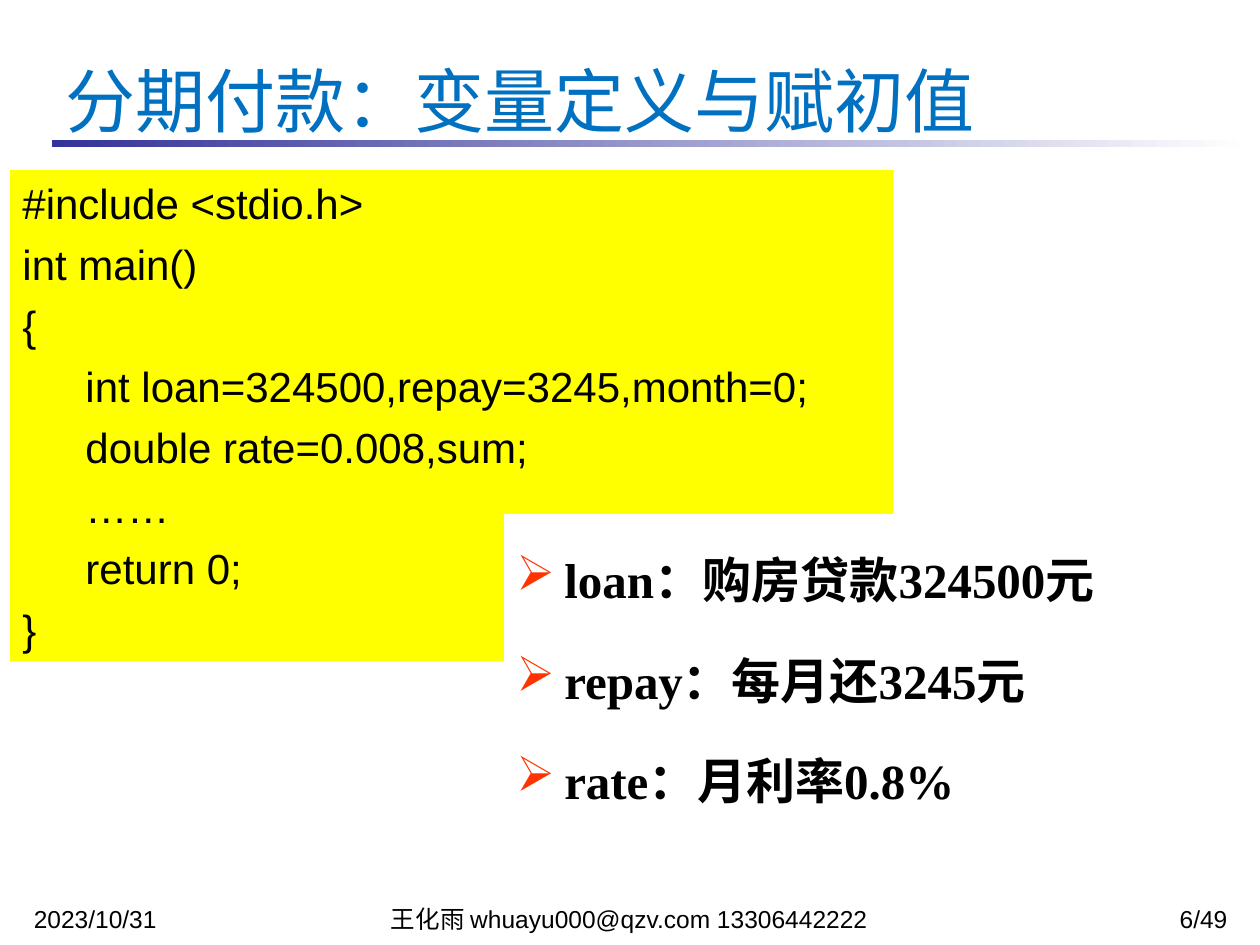
"""Builds the slide on variable definition and initial values for instalment payment."""
from dataclasses import dataclass

from lxml import etree
from pptx import Presentation
from pptx.dml.color import RGBColor
from pptx.enum.shapes import MSO_SHAPE
from pptx.enum.text import MSO_ANCHOR, PP_ALIGN
from pptx.oxml.ns import qn
from pptx.util import Inches, Pt

RECTANGLE = MSO_SHAPE.RECTANGLE
TOP, MIDDLE = MSO_ANCHOR.TOP, MSO_ANCHOR.MIDDLE
LEFT, CENTER, RIGHT = PP_ALIGN.LEFT, PP_ALIGN.CENTER, PP_ALIGN.RIGHT

BLACK = RGBColor(0x00, 0x00, 0x00)
WHITE = RGBColor(0xFF, 0xFF, 0xFF)
YELLOW = RGBColor(0xFF, 0xFF, 0x00)
TITLE_BLUE = RGBColor(0x00, 0x70, 0xC0)
RULE_BLUE = RGBColor(0x33, 0x33, 0x99)
BULLET_RED = RGBColor(0xFF, 0x33, 0x00)

SANS, SERIF = "Arial", "Times New Roman"
SPACE_RATIO = 0.25
BULLET_INDENT = Inches(0.38)


@dataclass(frozen=True)
class Panel:
    left: float
    top: float
    width: float
    height: float
    lines: tuple[str, ...]
    size: int
    font: str = SANS
    color: RGBColor = BLACK
    fill: RGBColor | None = None
    bold: bool = False
    align: PP_ALIGN = LEFT
    anchor: MSO_ANCHOR = TOP
    line_spacing: float = 1.0
    spaced: bool = True
    bullet: str = ""


FOOTER_TOP, FOOTER_HEIGHT = 7.17, 0.18
FOOTERS = (
    (0.17, 2.33, "2023/10/31", LEFT),
    (2.58, 4.83, "王化雨 whuayu000@qzv.com 13306442222", CENTER),
    (7.92, 1.92, "6/49", RIGHT),
)
TITLE = Panel(0.42, 0.25, 8.08, 0.75, ("分期付款：变量定义与赋初值",), 40, SERIF,
              TITLE_BLUE, WHITE, anchor=MIDDLE, line_spacing=1.5, spaced=False)
CODE = Panel(0.08, 1.35, 7.01, 3.9, (
    "#include <stdio.h>",
    "int main()",
    "{",
    "\tint loan=324500,repay=3245,month=0;",
    "\tdouble rate=0.008,sum;",
    "\t……",
    "\treturn 0;",
    "}",
), 24, fill=YELLOW, anchor=MIDDLE)
VARIABLES = Panel(4, 4.08, 5.58, 2.6, (
    "loan：购房贷款324500元",
    "repay：每月还3245元",
    "rate：月利率0.8%",
), 28, SERIF, fill=WHITE, bold=True, line_spacing=1.5, bullet="➢")


def add_rectangle(slide, left: float, top: float, width: float, height: float):
    rectangle = slide.shapes.add_shape(
        RECTANGLE, Inches(left), Inches(top), Inches(width), Inches(height))
    rectangle.shadow.inherit = False
    rectangle.line.fill.background()
    return rectangle


def add_bullet(paragraph, symbol: str) -> None:
    properties = paragraph._p.get_or_add_pPr()
    properties.set("marL", str(BULLET_INDENT))
    properties.set("indent", str(-BULLET_INDENT))
    bullet_color = etree.SubElement(properties, qn("a:buClr"))
    etree.SubElement(bullet_color, qn("a:srgbClr"), val=str(BULLET_RED))
    etree.SubElement(properties, qn("a:buChar"), char=symbol)


def add_panel(slide, panel: Panel) -> None:
    box = (panel.left, panel.top, panel.width, panel.height)
    if panel.fill is None:
        holder = slide.shapes.add_textbox(*map(Inches, box))
    else:
        holder = add_rectangle(slide, *box)
        holder.fill.solid()
        holder.fill.fore_color.rgb = panel.fill
    frame = holder.text_frame
    frame.word_wrap = True
    frame.vertical_anchor = panel.anchor
    for index, line in enumerate(panel.lines):
        paragraph = frame.add_paragraph() if index else frame.paragraphs[0]
        paragraph.alignment = panel.align
        paragraph.line_spacing = panel.line_spacing
        if panel.spaced:
            paragraph.space_before = Pt(panel.size * SPACE_RATIO)
        if panel.bullet:
            add_bullet(paragraph, panel.bullet)
        run = paragraph.add_run()
        run.text = line
        run.font.size = Pt(panel.size)
        run.font.name = panel.font
        run.font.bold = panel.bold
        run.font.color.rgb = panel.color


def add_title_rule(slide) -> None:
    rule = add_rectangle(slide, 0.41, 1.11, 9.51, 0.06)
    rule.fill.gradient()
    rule.fill.gradient_angle = 0
    for stop, color in zip(rule.fill.gradient_stops, (RULE_BLUE, WHITE)):
        stop.color.rgb = color


def main() -> None:
    presentation = Presentation()
    presentation.slide_width, presentation.slide_height = Inches(10), Inches(7.5)
    slide = presentation.slides.add_slide(presentation.slide_layouts[6])
    add_title_rule(slide)
    for left, width, text, align in FOOTERS:
        add_panel(slide, Panel(left, FOOTER_TOP, width, FOOTER_HEIGHT, (text,), 14,
                               align=align, line_spacing=0.8))
    for panel in (TITLE, CODE, VARIABLES):
        add_panel(slide, panel)
    presentation.save("out.pptx")


if __name__ == "__main__":
    main()
